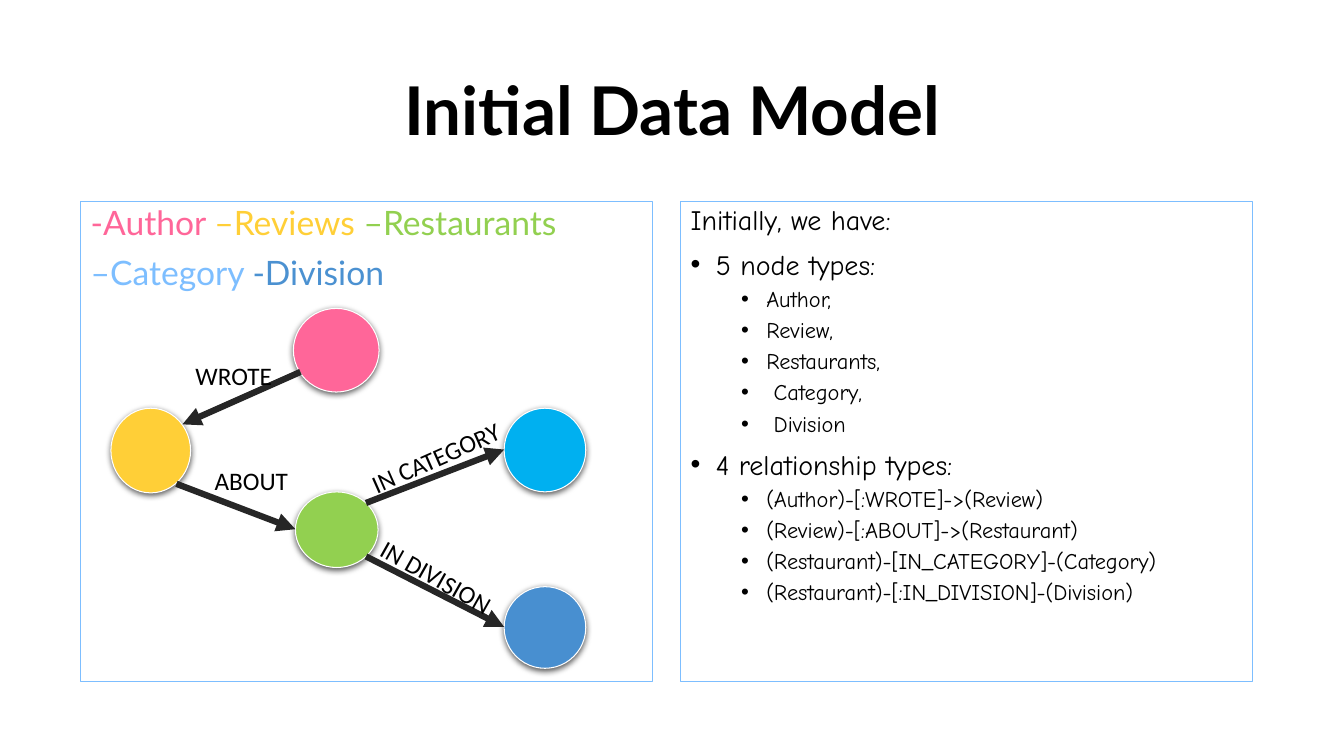
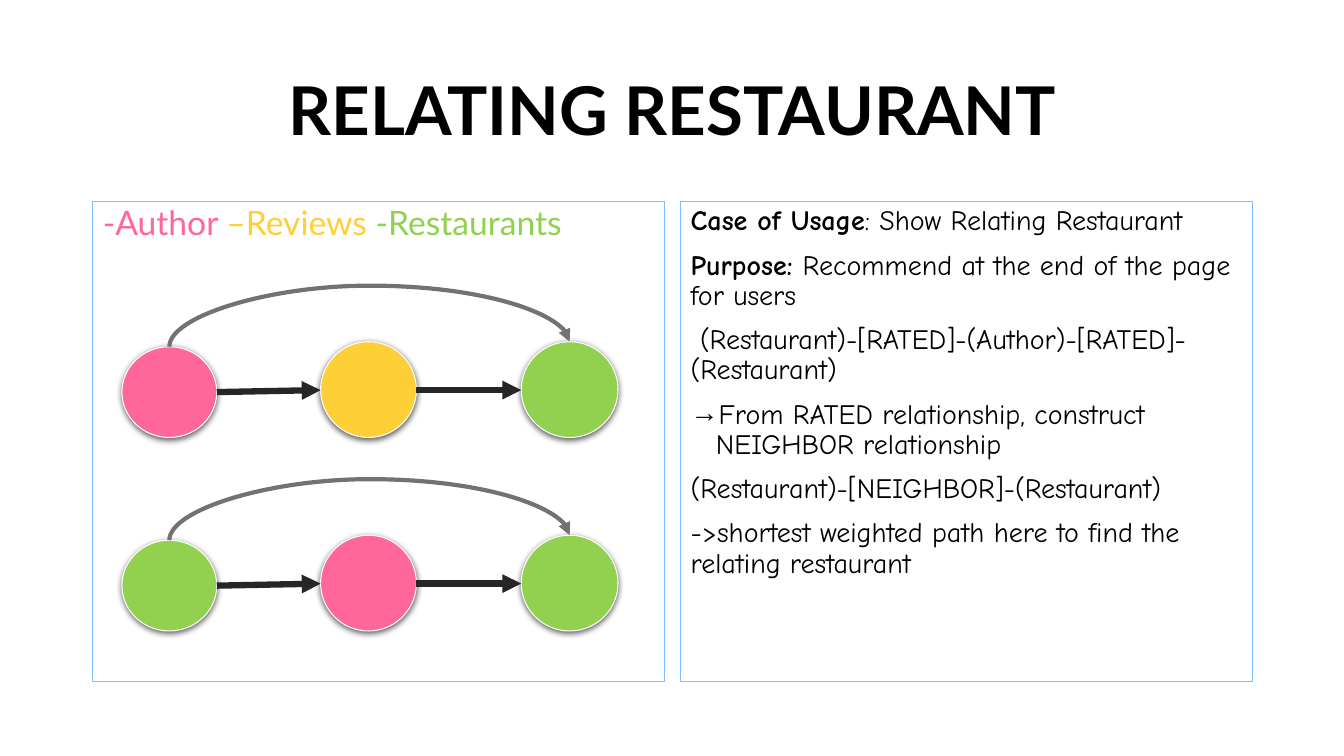
from lxml.etree import SubElement
from pptx import Presentation
from pptx.dml.color import RGBColor
from pptx.enum.shapes import MSO_CONNECTOR, MSO_SHAPE
from pptx.enum.text import MSO_ANCHOR, MSO_AUTO_SIZE, PP_ALIGN
from pptx.oxml.ns import qn
from pptx.util import Inches, Pt

# Shared colours and fonts
BLACK, WHITE = "000000", "FFFFFF"
PINK, YELLOW, GREEN = "FF6699", "FFCF37", "92D050"
LIGHT_BLUE, BLUE = "7DBEFF", "4B91D1"
CATEGORY_BLUE, DIVISION_BLUE = "00B0F0", "488FD0"
ARROW_DARK, CURVE_GREY = "262626", "767171"
HEADING_FONT, BODY_FONT, LABEL_FONT = "Lato", "Comic Neue", "Calibri"

# Panel geometry
PANEL_TOP, PANEL_WIDTH, PANEL_HEIGHT = 2, 5.67, 4.76
RIGHT_PANEL_LEFT = 6.75
TWO_CONTENT_LAYOUT = 3


def rgb(hex_colour):
    return RGBColor.from_string(hex_colour)


def place(shape, left, top, width, height):
    shape.left, shape.top = Inches(left), Inches(top)
    shape.width, shape.height = Inches(width), Inches(height)


def add_run(paragraph, text, size, font, colour=BLACK, bold=False):
    run = paragraph.add_run()
    run.text = text
    run.font.size = Pt(size)
    run.font.name = font
    run.font.bold = bold
    run.font.color.rgb = rgb(colour)


def set_bullet(paragraph, bullet, level):
    properties = paragraph._p.get_or_add_pPr()
    indent = Inches(0.25) if bullet else 0
    properties.set("marL", str(indent + Inches(0.5) * level))
    properties.set("indent", str(-indent))
    if bullet:
        SubElement(properties, qn("a:buFont")).set("typeface", "Arial")
        SubElement(properties, qn("a:buChar")).set("char", bullet)
    else:
        SubElement(properties, qn("a:buNone"))


def next_paragraph(frame, bullet=None, level=0):
    """Return a fresh formatted paragraph, reusing the empty first one."""
    first = not frame.paragraphs[0].runs
    paragraph = frame.paragraphs[0] if first else frame.add_paragraph()
    set_bullet(paragraph, bullet, level)
    paragraph.level = level
    paragraph.alignment = PP_ALIGN.LEFT
    paragraph.line_spacing = 0.9
    paragraph.space_before = Pt(0 if first else 5 if level else 10)
    paragraph.space_after = Pt(0)
    return paragraph


def add_titled_slide(presentation, title):
    slide = presentation.slides.add_slide(
        presentation.slide_layouts[TWO_CONTENT_LAYOUT])
    shape = slide.shapes.title
    place(shape, 0.92, 0.4, 11.5, 1.45)
    frame = shape.text_frame
    frame.auto_size = MSO_AUTO_SIZE.NONE
    frame.vertical_anchor = MSO_ANCHOR.MIDDLE
    paragraph = frame.paragraphs[0]
    paragraph.alignment = PP_ALIGN.CENTER
    paragraph.line_spacing = 0.9
    add_run(paragraph, title, 48, HEADING_FONT, bold=True)
    return slide


def outline_panel(slide, index, left):
    panel = slide.placeholders[index]
    place(panel, left, PANEL_TOP, PANEL_WIDTH, PANEL_HEIGHT)
    panel.line.color.rgb = rgb(LIGHT_BLUE)
    panel.line.width = Pt(0.75)
    frame = panel.text_frame
    frame.auto_size = MSO_AUTO_SIZE.NONE
    frame.vertical_anchor = MSO_ANCHOR.TOP
    return frame


def add_legend(slide, left, lines):
    frame = outline_panel(slide, 1, left)
    for line in lines:
        paragraph = next_paragraph(frame)
        for text, colour in line:
            add_run(paragraph, text, 24, HEADING_FONT, colour)


def add_explanation(slide, items):
    """Each item is (bullet, level, [(text, bold), ...])."""
    frame = outline_panel(slide, 2, RIGHT_PANEL_LEFT)
    for bullet, level, parts in items:
        paragraph = next_paragraph(frame, bullet, level)
        for text, bold in parts:
            add_run(paragraph, text, 16 if level else 20, BODY_FONT, bold=bold)


def add_node(slide, left, top, width, height, colour):
    node = slide.shapes.add_shape(MSO_SHAPE.OVAL, 0, 0, 0, 0)
    place(node, left, top, width, height)
    node.fill.solid()
    node.fill.fore_color.rgb = rgb(colour)
    node.line.color.rgb = rgb(WHITE)
    node.line.width = Pt(0.75)
    # Soft shadow straight below the node
    node.shadow.inherit = False
    effects = node.element.spPr.find(qn("a:effectLst"))
    shadow = SubElement(effects, qn("a:outerShdw"), blurRad=str(Pt(4.5)),
                        dist=str(Pt(1.5)), dir="5400000", rotWithShape="0")
    shade = SubElement(shadow, qn("a:srgbClr"), val=BLACK)
    SubElement(shade, qn("a:alpha"), val="63000")
    return node


def add_arrow(slide, start, end, colour=ARROW_DARK, width=4.5,
              kind=MSO_CONNECTOR.STRAIGHT):
    arrow = slide.shapes.add_connector(
        kind, *(Inches(value) for value in (*start, *end)))
    arrow.line.color.rgb = rgb(colour)
    arrow.line.width = Pt(width)
    properties = arrow.element.spPr
    SubElement(properties.find(qn("a:ln")), qn("a:tailEnd"), type="triangle")
    SubElement(properties, qn("a:effectLst"))
    return arrow


def add_arch(slide, first_node, last_node, top):
    """Curve over a row of nodes, from the first top to the last top."""
    arch = add_arrow(slide, (1.68, top + 0.05), (5.66, top), CURVE_GREY, 3,
                     MSO_CONNECTOR.CURVE)
    arch.begin_connect(first_node, 0)
    arch.end_connect(last_node, 0)
    # A quarter turn makes the curve leave and arrive vertically
    place(arch, 3.64, top - 1.96, 0.05, 3.97)
    frame = arch.element.spPr.find(qn("a:xfrm"))
    for name, value in (("rot", "5400000"), ("flipH", "1"), ("flipV", "1")):
        frame.set(name, value)
    geometry = arch.element.spPr.find(qn("a:prstGeom"))
    adjustments = geometry.find(qn("a:avLst"))
    if adjustments is None:
        adjustments = SubElement(geometry, qn("a:avLst"))
    SubElement(adjustments, qn("a:gd"), name="adj1", fmla="val 1212000")


def add_label(slide, text, left, top, width, rotation=0):
    label = slide.shapes.add_textbox(0, 0, 0, 0)
    place(label, left, top, width, 0.4)
    label.rotation = rotation
    label.text_frame.word_wrap = True
    add_run(label.text_frame.paragraphs[0], text, 18, LABEL_FONT)


def add_node_row(slide, top, colours):
    """Three nodes in a chain, with an arch from the first to the last."""
    boxes = ((1.21, top + 0.05, 0.94, 0.9), (3.18, top, 0.95, 0.95),
             (5.17, top, 0.96, 0.95))
    nodes = [add_node(slide, *box, colour)
             for box, colour in zip(boxes, colours)]
    middle = top + 0.48
    add_arrow(slide, (2.15, middle + 0.02), (3.18, middle))
    add_arrow(slide, (4.13, middle), (5.17, middle))
    add_arch(slide, nodes[0], nodes[-1], top)


def build_data_model(presentation):
    slide = add_titled_slide(presentation, "Initial Data Model")
    add_legend(slide, 0.8, [
        [("-Author ", PINK), ("–Reviews ", YELLOW), ("–Restaurants", GREEN)],
        [("–Category ", LIGHT_BLUE), ("-Division", BLUE)],
    ])
    node_types = ("Author,", "Review,", "Restaurants,", " Category,",
                  " Division")
    relationships = ("(Author)-[:WROTE]->(Review)",
                     "(Review)-[:ABOUT]->(Restaurant)",
                     "(Restaurant)-[IN_CATEGORY]-(Category)",
                     "(Restaurant)-[:IN_DIVISION]-(Division)")
    items = [(None, 0, [("Initially, we have:", False)])]
    for heading, entries in (("5 node types:", node_types),
                             ("4 relationship types:", relationships)):
        items.append(("•", 0, [(heading, False)]))
        items.extend(("•", 1, [(entry, False)]) for entry in entries)
    add_explanation(slide, items)

    # Graph nodes: author, review, restaurant, division, category
    for node in ((2.91, 3.06, 0.85, 0.83, PINK),
                 (1.1, 4.05, 0.79, 0.84, YELLOW),
                 (2.93, 4.88, 0.82, 0.75, GREEN),
                 (5, 5.82, 0.81, 0.81, DIVISION_BLUE),
                 (5, 4.05, 0.81, 0.83, CATEGORY_BLUE)):
        add_node(slide, *node)

    # Relationships and their labels
    for start, end in (((2.98, 3.69), (1.81, 4.21)),
                       ((1.75, 4.8), (2.93, 5.25)),
                       ((3.63, 5.52), (5, 6.22)),
                       ((3.63, 4.99), (5, 4.46))):
        add_arrow(slide, start, end)
    for label in (("WROTE", 1.84, 3.53, 0.99),
                  ("ABOUT", 2.03, 4.57, 1.01),
                  ("IN DIVISION", 3.61, 5.58, 1.65, 29.4),
                  ("IN CATEGORY", 3.54, 4.33, 1.59, 336.1)):
        add_label(slide, *label)


def build_relating_restaurant(presentation):
    slide = add_titled_slide(presentation, "RELATING RESTAURANT")
    add_legend(slide, 0.92, [
        [("-Author ", PINK), ("–Reviews ", YELLOW), ("-Restaurants", GREEN)],
    ])
    add_explanation(slide, [
        (None, 0, [("Case of Usage", True),
                   (": Show Relating Restaurant", False)]),
        (None, 0, [("Purpose: ", True),
                   ("Recommend at the end of the page for users", False)]),
        (None, 0, [(" (Restaurant)-[RATED]-(Author)-[RATED]-(Restaurant)",
                    False)]),
        ("→", 0, [("From RATED relationship, construct NEIGHBOR relationship",
                   False)]),
        (None, 0, [("(Restaurant)-[NEIGHBOR]-(Restaurant)", False)]),
        (None, 0, [("->shortest weighted path here to find the relating "
                    "restaurant", False)]),
    ])
    for top, colours in ((3.39, (PINK, YELLOW, GREEN)),
                         (5.31, (GREEN, PINK, GREEN))):
        add_node_row(slide, top, colours)


def main():
    presentation = Presentation()
    presentation.slide_width = Inches(13.33)
    presentation.slide_height = Inches(7.5)
    build_data_model(presentation)
    build_relating_restaurant(presentation)
    presentation.save("out.pptx")


if __name__ == "__main__":
    main()
